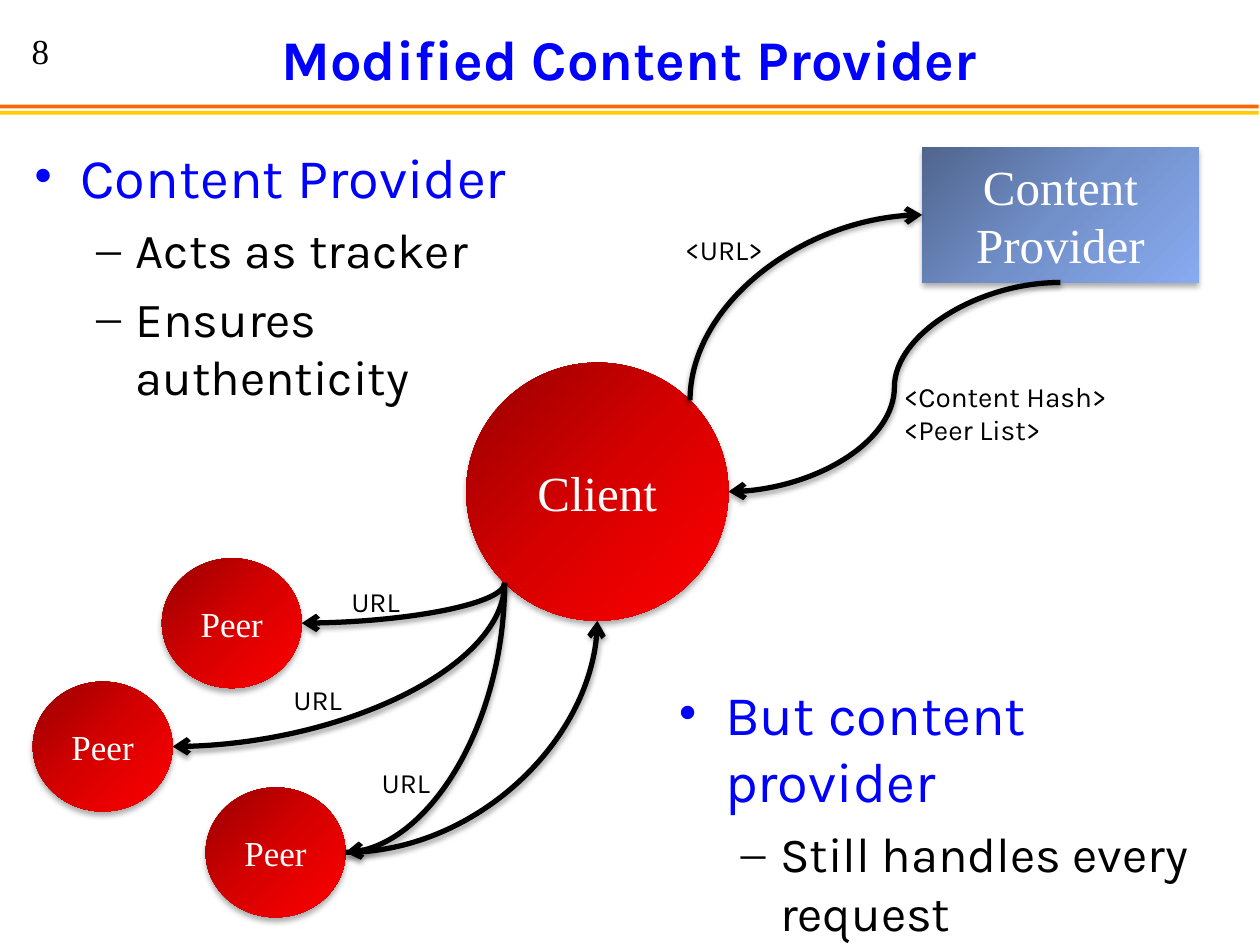
import copy
import math

import pptx
import pptx.dml.color
import pptx.enum.shapes
import pptx.enum.text
import pptx.oxml
import pptx.oxml.ns
import pptx.util

Pt = pptx.util.Pt
qn = pptx.oxml.ns.qn
NAMESPACE = pptx.oxml.ns.nsdecls("a")
SHAPES = pptx.enum.shapes.MSO_SHAPE
ALIGN = pptx.enum.text.PP_ALIGN
MIDDLE = pptx.enum.text.MSO_ANCHOR.MIDDLE

SERIF, SANS = "Times New Roman", "Karla"
BLUES = ("50658E", "7290CA", "88AAF0")
REDS = ("970000", "D70000", "FF0000")

# Boxes are left, top, width, height
BANDS = [(59.8, "FF6600"), (63.4, "FFCC00")]
PROVIDER = (527, 84.2, 158, 77.2)
CLIENT = (266.4, 207.2, 149.9, 147.5)
PEER_SIZE = (79.9, 74.2)
PEERS = [(92.5, 319), (18.7, 389.5), (117.5, 450)]
LABELS = [
    ((384.5, 129.6, 67, 26.6), ["<URL>"]),
    ((509.4, 213.1, 134.6, 46), ["<Content Hash>", "<Peer List>"]),
    ((193.7, 330.5, 43.2, 26.6), ["URL"]),
    ((160.6, 386.6, 43.2, 26.6), ["URL"]),
    ((211, 434.2, 43.2, 26.6), ["URL"]),
]
BULLET_LISTS = [
    ((12, 77.8, 332.6, 141), [
        (0, "Content Provider"), (1, "Acts as tracker"), (1, "Ensures authenticity")]),
    ((380.2, 384.5, 332.6, 141), [
        (0, "But content provider"), (1, "Still handles every request")]),
]
LEVELS = [
    {"size": 32, "color": "0000FF", "left": 27, "hanging": 27, "bullet": "•"},
    {"size": 28, "color": "000000", "left": 58.5, "hanging": 22.5, "bullet": "–"},
]


def rgb(value):
    return pptx.dml.color.RGBColor.from_string(value)


def points(values):
    return [Pt(value) for value in values]


def style_font(paragraph, name, size, color, bold=False):
    for key, value in {"name": name, "size": Pt(size), "bold": bold}.items():
        setattr(paragraph.font, key, value)
    paragraph.font.color.rgb = rgb(color)


def write_lines(frame, lines, name, size, color, align=ALIGN.CENTER, bold=False):
    for index, line in enumerate(lines):
        paragraph = frame.paragraphs[0] if index == 0 else frame.add_paragraph()
        paragraph.text = line
        paragraph.alignment = align
        style_font(paragraph, name, size, color, bold)


def add_text(slide, box, lines, *font, wrap=True, **options):
    frame = slide.shapes.add_textbox(*points(box)).text_frame
    frame.word_wrap = wrap
    write_lines(frame, lines, *font, **options)
    return frame


def set_shadow(shape, opacity, blur, distance):
    properties = shape._element.spPr
    for old in properties.findall(qn("a:effectLst")):
        properties.remove(old)
    properties.append(pptx.oxml.parse_xml(
        f'<a:effectLst {NAMESPACE}>'
        f'<a:outerShdw blurRad="{Pt(blur)}" dist="{Pt(distance)}" dir="5400000" rotWithShape="0">'
        f'<a:srgbClr val="000000"><a:alpha val="{opacity * 1000}"/></a:srgbClr>'
        '</a:outerShdw></a:effectLst>'))


def add_node(slide, kind, box, colors, lines, size):
    shape = slide.shapes.add_shape(kind, *points(box))
    shape.line.fill.background()
    shape.fill.gradient()
    stops = shape._element.spPr.find(qn("a:gradFill")).find(qn("a:gsLst"))
    stops.append(copy.deepcopy(stops[-1]))
    for stop, position, color in zip(shape.fill.gradient_stops, (0, 0.5, 1), colors):
        stop.position = position
        stop.color.rgb = rgb(color)
    shape.fill.gradient_angle = 315
    set_shadow(shape, 32, 3.5, 2.2)
    shape.text_frame.word_wrap = True
    shape.text_frame.vertical_anchor = MIDDLE
    write_lines(shape.text_frame, lines, SERIF, size, "FFFFFF")
    return shape


def site(box, degrees):
    """Point on the ellipse in the box, clockwise from its right end."""
    left, top, width, height = box
    angle = math.radians(degrees)
    return (left + width / 2 * (1 + math.cos(angle)),
            top + height / 2 * (1 + math.sin(angle)))


def add_curve(slide, start, end):
    connector = slide.shapes.add_connector(
        pptx.enum.shapes.MSO_CONNECTOR.CURVE, *points(start + end))
    connector.line.width = Pt(3)
    connector.line.color.rgb = rgb("000000")
    connector.line._get_or_add_ln().append(pptx.oxml.parse_xml(
        f'<a:tailEnd {NAMESPACE} type="arrow"/>'))
    set_shadow(connector, 35, 3.1, 1.8)
    return connector


def make_quarter(connector, upright=True):
    """Bend once; an upright curve leaves its start vertically."""
    properties = connector._element.spPr
    properties.find(qn("a:prstGeom")).set("prst", "curvedConnector2")
    if not upright:
        return
    rightward = connector.end_x > connector.begin_x
    upward = connector.end_y < connector.begin_y
    width, height = connector.width, connector.height
    connector.left += (width - height) // 2
    connector.top += (height - width) // 2
    connector.width, connector.height = height, width
    for key, value in {"rot": 5400000, "flipH": int(upward), "flipV": int(rightward)}.items():
        properties.find(qn("a:xfrm")).set(key, str(value))


def add_bullets(slide, box, items):
    frame = slide.shapes.add_textbox(*points(box)).text_frame
    frame.word_wrap = True
    for index, (depth, text) in enumerate(items):
        level = LEVELS[depth]
        paragraph = frame.paragraphs[0] if index == 0 else frame.add_paragraph()
        paragraph.text = text
        paragraph.level = depth
        if index:
            paragraph.space_before = Pt(level["size"] * 0.2)
        properties = paragraph._p.get_or_add_pPr()
        properties.set("marL", str(Pt(level["left"])))
        properties.set("indent", str(-Pt(level["hanging"])))
        for tag, attribute, value in [("buFont", "typeface", SERIF),
                                      ("buChar", "char", level["bullet"])]:
            properties.append(pptx.oxml.parse_xml(
                f'<a:{tag} {NAMESPACE} {attribute}="{value}"/>'))
        style_font(paragraph, SANS, level["size"], level["color"])


def main():
    presentation = pptx.Presentation()
    presentation.slide_width, presentation.slide_height = Pt(720), Pt(540)
    slide = presentation.slides.add_slide(presentation.slide_layouts[6])

    for top, color in BANDS:
        band = slide.shapes.add_shape(SHAPES.RECTANGLE, *points((0, top, 719.3, 2.2)))
        band.shadow.inherit = False
        band.fill.solid()
        band.fill.fore_color.rgb = rgb(color)
        band.line.fill.background()
    add_text(slide, (-10, 13.4, 66.2, 31.7), ["8"], SERIF, 20, "000000")
    title = add_text(slide, (0, 12.2, 719.3, 41.8), ["Modified Content Provider"],
                     SANS, 32, "0000FF", bold=True)
    title.vertical_anchor = MIDDLE

    provider = add_node(slide, SHAPES.RECTANGLE, PROVIDER, BLUES, ["Content", "Provider"], 28)
    add_node(slide, SHAPES.OVAL, CLIENT, REDS, ["Client"], 28)
    peers = [corner + PEER_SIZE for corner in PEERS]
    for peer in peers:
        add_node(slide, SHAPES.OVAL, peer, REDS, ["Peer"], 20)

    left, top, width, height = PROVIDER
    request = add_curve(slide, site(CLIENT, -45), (left, top + height / 2))
    request.end_connect(provider, 1)
    make_quarter(request)
    reply = add_curve(slide, (left + width / 2, top + height), site(CLIENT, 0))
    reply.begin_connect(provider, 2)
    for peer in peers:
        make_quarter(add_curve(slide, site(CLIENT, 135), site(peer, 0)))
    make_quarter(add_curve(slide, site(peers[-1], 0), site(CLIENT, 90)), upright=False)

    for box, lines in LABELS:
        add_text(slide, box, lines, SANS, 16, "000000", align=ALIGN.LEFT, wrap=False)
    for box, items in BULLET_LISTS:
        add_bullets(slide, box, items)
    presentation.save("out.pptx")


if __name__ == "__main__":
    main()
